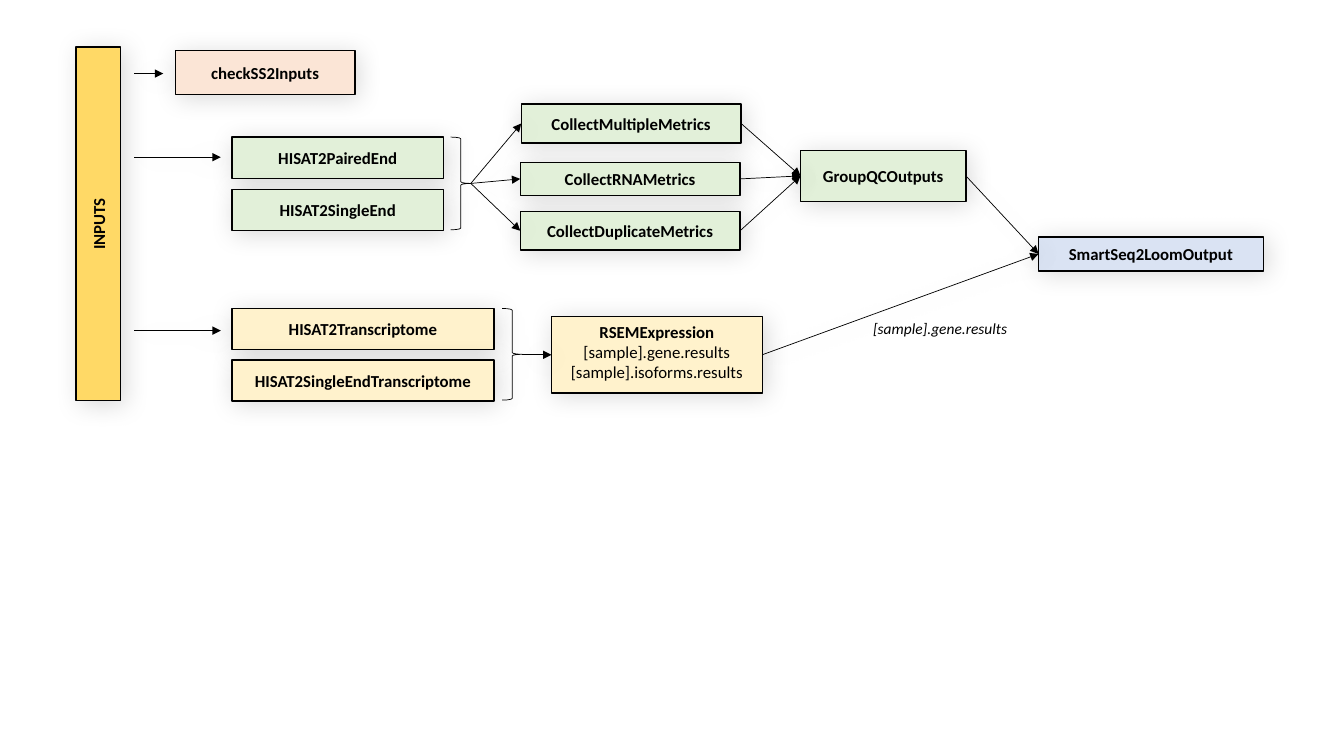
import pptx
import pptx.util
import pptx.dml.color
import pptx.enum.shapes
import pptx.enum.text
import pptx.oxml

Inches = pptx.util.Inches
Pt = pptx.util.Pt
SHAPES = pptx.enum.shapes.MSO_SHAPE
TEXT = pptx.enum.text

COLORS = {
    "ink": "000000",
    "check": "FBE5D6",
    "genome": "E2F0D9",
    "transcriptome": "FFF2CC",
    "output": "DAE3F3",
    "inputs": "FFD966",
}


class Diagram:
    """Draws the workflow's boxes, braces, arrows and labels on one slide."""

    font = "Calibri"

    def __init__(self, slide):
        self.slide = slide

    def color(self, name):
        return pptx.dml.color.RGBColor.from_string(COLORS[name])

    def finish(self, item, width):
        item.line.color.rgb = self.color("ink")
        item.line.width = Pt(width)
        item._element.spPr.append(pptx.oxml.parse_xml(
            '<a:effectLst xmlns:a="http://schemas.openxmlformats.org/drawingml/2006/main">'
            f'<a:outerShdw blurRad="{Pt(18)}" dist="{Pt(3)}" dir="2700000" algn="tl" rotWithShape="0">'
            f'<a:srgbClr val="{COLORS["ink"]}"><a:alpha val="15000"/></a:srgbClr>'
            '</a:outerShdw></a:effectLst>'))

    def set_text(self, frame, text, size, bold=False, italic=False):
        frame.text = text
        for index, paragraph in enumerate(frame.paragraphs):
            paragraph.alignment = TEXT.PP_ALIGN.CENTER
            for run in paragraph.runs:
                run.font.name = self.font
                run.font.size = Pt(size)
                run.font.bold = bold and index == 0
                run.font.italic = italic
                run.font.color.rgb = self.color("ink")

    def box(self, text, fill, left, top, width, height,
            anchor=TEXT.MSO_ANCHOR.MIDDLE, rotation=0):
        step = self.slide.shapes.add_shape(
            SHAPES.RECTANGLE, Inches(left), Inches(top), Inches(width), Inches(height))
        step.rotation = rotation
        step.fill.solid()
        step.fill.fore_color.rgb = self.color(fill)
        self.finish(step, 1)
        step.text_frame.word_wrap = True
        step.text_frame.vertical_anchor = anchor
        self.set_text(step.text_frame, text, 12, bold=True)
        return step

    def brace(self, left, top, width, height):
        brace = self.slide.shapes.add_shape(
            SHAPES.RIGHT_BRACE, Inches(left), Inches(top), Inches(width), Inches(height))
        brace.fill.background()
        self.finish(brace, 0.5)

    def arrow(self, start=(0, 0), end=(0, 0), source=None, target=None):
        arrow = self.slide.shapes.add_connector(
            pptx.enum.shapes.MSO_CONNECTOR.STRAIGHT,
            *(Inches(value) for value in (*start, *end)))
        if source is not None:
            arrow.begin_connect(source, 3)
        if target is not None:
            arrow.end_connect(target, 1)
        self.finish(arrow, 0.5)
        arrow.line._get_or_add_ln().append(pptx.oxml.parse_xml(
            '<a:tailEnd xmlns:a="http://schemas.openxmlformats.org/drawingml/2006/main"'
            ' type="triangle"/>'))

    def label(self, text, left, top, width, height):
        label = self.slide.shapes.add_textbox(
            Inches(left), Inches(top), Inches(width), Inches(height))
        label.text_frame.word_wrap = False
        label.text_frame.auto_size = TEXT.MSO_AUTO_SIZE.SHAPE_TO_FIT_TEXT
        self.set_text(label.text_frame, text, 11, italic=True)


def main():
    deck = pptx.Presentation()
    deck.slide_width = Inches(13.33)
    deck.slide_height = Inches(7.5)
    diagram = Diagram(deck.slides.add_slide(deck.slide_layouts[6]))

    diagram.box("checkSS2Inputs", "check", 1.74, 0.5, 1.78, 0.44)
    metrics = [
        diagram.box(name, "genome", left, top, 2.18, height)
        for name, left, top, height in (
            ("CollectMultipleMetrics", 5.17, 1.03, 0.39),
            ("CollectRNAMetrics", 5.16, 1.61, 0.33),
            ("CollectDuplicateMetrics", 5.16, 2.1, 0.38),
        )
    ]
    quality = diagram.box("GroupQCOutputs", "genome", 7.94, 1.49, 1.64, 0.51)
    for name, fill, top, width in (
        ("HISAT2Transcriptome", "transcriptome", 3.06, 2.6),
        ("HISAT2SingleEndTranscriptome", "transcriptome", 3.57, 2.6),
        ("HISAT2PairedEnd", "genome", 1.36, 2.1),
        ("HISAT2SingleEnd", "genome", 1.88, 2.1),
    ):
        diagram.box(name, fill, 2.3, top, width, 0.41)
    loom = diagram.box("SmartSeq2LoomOutput", "output", 10.3, 2.35, 2.23, 0.34)
    expression = diagram.box(
        "RSEMExpression\n[sample].gene.results\n[sample].isoforms.results",
        "transcriptome", 5.47, 3.14, 2.09, 0.76, anchor=TEXT.MSO_ANCHOR.TOP)

    diagram.arrow(start=(5.18, 3.52), target=expression)
    for metric in metrics:
        diagram.arrow(start=(4.67, 1.82), target=metric)
        diagram.arrow(source=metric, target=quality)
    for result in (quality, expression):
        diagram.arrow(source=result, target=loom)

    diagram.brace(4.47, 1.36, 0.2, 0.92)
    diagram.brace(4.98, 3.06, 0.2, 0.91)
    diagram.label("[sample].gene.results", 8.55, 3.12, 1.55, 0.29)

    diagram.box("INPUTS", "inputs", -0.78, 2, 3.51, 0.44, rotation=270)
    for y, tip in ((0.73, 1.62), (1.56, 2.19), (3.28, 2.19)):
        diagram.arrow(start=(1.33, y), end=(tip, y))

    deck.save("out.pptx")


if __name__ == "__main__":
    main()
